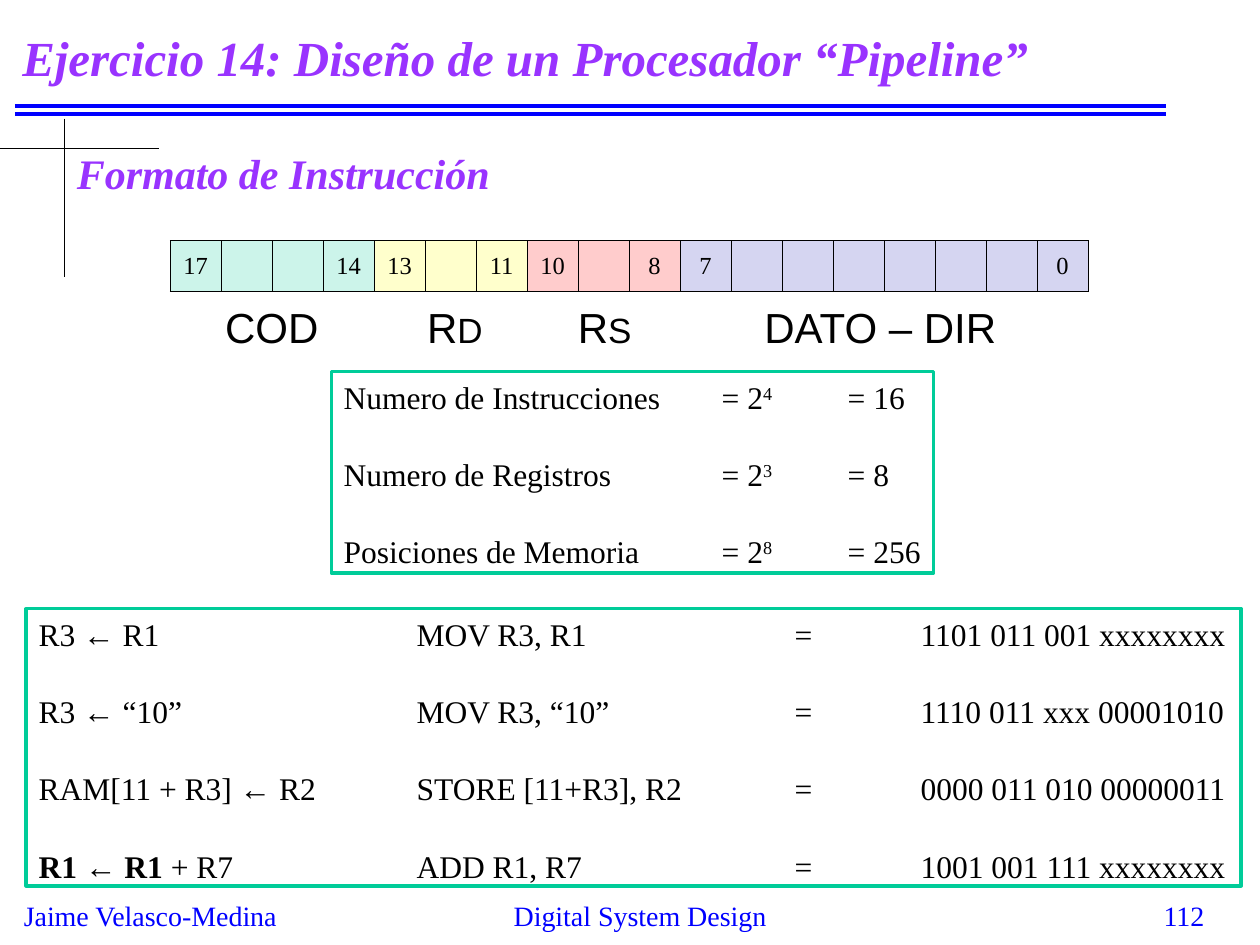
from pptx import Presentation
from pptx.dml.color import RGBColor
from pptx.enum.shapes import MSO_CONNECTOR, MSO_SHAPE
from pptx.enum.text import MSO_ANCHOR, PP_ALIGN
from pptx.oxml.ns import qn
from pptx.util import Cm, Pt
from lxml.etree import SubElement

# Content: runs are (text, style), with style "", "b" (bold) or "sup"
TITLE = "Ejercicio 14: Diseño de un Procesador “Pipeline”"
HEAD = "Formato de Instrucción"
FOOT = [  # text, left, width, alignment
    ("Jaime Velasco-Medina", 0.23, 5.69, PP_ALIGN.LEFT),
    ("Digital System Design", 8.46, 8.89, PP_ALIGN.CENTER),
    ("112", 19.25, 5.28, PP_ALIGN.RIGHT),
]
FIELDS = [  # high bit, low bit, colour
    (17, 14, "00CC99"), (13, 11, "FFFF00"), (10, 8, "FF0000"), (7, 0, "2D2DB9"),
]
LABELS = [  # big text, small text, left, width
    ("COD", "", 4.29, 2.9), ("R", "D", 8.36, 2), ("R", "S", 11.4, 2),
    ("DATO – DIR", "", 15.16, 5.6),
]
SIZES = [
    ("Numero de Instrucciones", "4", "16"),
    ("Numero de Registros", "3", "8"),
    ("Posiciones de Memoria", "8", "256"),
]
CODE = [
    ([("R3 ← R1", "")], "MOV R3, R1", "1101 011 001 xxxxxxxx"),
    ([("R3 ← “10”", "")], "MOV R3, “10”", "1110 011 xxx 00001010"),
    ([("RAM[11 + R3] ← R2", "")], "STORE [11+R3], R2", "0000 011 010 00000011"),
    ([("R1 ", "b"), ("← ", ""), ("R1", "b"), (" + R7", "")],
     "ADD R1, R7", "1001 001 111 xxxxxxxx"),
]
RULES = [  # x1, y1, x2, y2, colour, points
    (0.3, 2.13, 23.5, 2.13, "blue", 2.25), (0.3, 2.29, 23.5, 2.29, "blue", 2.25),
    (0, 3, 3.2, 3, "ink", 0.75), (1.3, 2.39, 1.3, 5.59, "ink", 0.75),
]
THEME = {
    "serif": "Times New Roman", "sans": "Arial",
    "ink": "000000", "blue": "0000FF", "violet": "9933FF",
    "frame": "00CC99", "paper": "FFFFFF",
    "title": 28, "head": 24, "label": 24, "small": 20,
    "body": 18, "foot": 16, "bit": 14, "gap": 22.5,
}


def rgb(key):
    return RGBColor.from_string(THEME.get(key, key))


def set_font(font, size, color="ink", face="serif"):
    font.name, font.size = THEME[face], Pt(THEME[size])
    font.color.rgb = rgb(color)


def set_frame(frame, right=0.0):
    frame.word_wrap = True
    frame.margin_left, frame.margin_right = Cm(0.25), Cm(right)
    frame.margin_top = frame.margin_bottom = Cm(0.13)


def add_text(text, x, y, w, h, size, color="ink", face="serif",
             align=PP_ALIGN.LEFT):
    frame = slide.shapes.add_textbox(Cm(x), Cm(y), Cm(w), Cm(h)).text_frame
    set_frame(frame, 0 if align == PP_ALIGN.LEFT else 0.25)
    par = frame.paragraphs[0]
    par.alignment = align
    par.add_run().text = text
    set_font(par.font, size, color, face)
    return frame


def add_head(text, x, y):
    frame = add_text(text, x, y, 23.29, 1.9, "title" if y < 1 else "head", "violet")
    frame.vertical_anchor = MSO_ANCHOR.MIDDLE
    font = frame.paragraphs[0].font
    font.bold = font.italic = True


def add_panel(rows, tabs, x, y, w, h):
    box = slide.shapes.add_shape(MSO_SHAPE.RECTANGLE, Cm(x), Cm(y), Cm(w), Cm(h))
    box.shadow.inherit = False
    box.fill.solid()
    box.fill.fore_color.rgb = rgb("paper")
    box.line.color.rgb, box.line.width = rgb("frame"), Pt(2)
    frame = box.text_frame
    set_frame(frame)
    frame.vertical_anchor = MSO_ANCHOR.TOP
    for i, row in enumerate(rows):
        par = frame.paragraphs[0] if i == 0 else frame.add_paragraph()
        par.alignment = PP_ALIGN.LEFT
        if i:
            par.space_before = Pt(THEME["gap"])
        stops = SubElement(par._p.get_or_add_pPr(), qn("a:tabLst"))
        for tab in tabs:
            SubElement(stops, qn("a:tab"), pos=str(Cm(tab)), algn="l")
        set_font(par.font, "body")
        for text, style in row:
            run = par.add_run()
            run.text = text
            if style == "b":
                run.font.bold = True
            elif style == "sup":
                run.font._element.set("baseline", "30000")


def add_border(cell):
    props = cell._tc.get_or_add_tcPr()
    for i, side in enumerate(("lnL", "lnR", "lnT", "lnB")):
        line = props.makeelement(qn("a:" + side), {"w": str(Pt(0.45))})
        props.insert(i, line)
        fill = SubElement(line, qn("a:solidFill"))
        SubElement(fill, qn("a:srgbClr"), val=THEME["ink"])


def add_bits(x, y, w, h):
    bits = [(n, n in (high, low), color) for high, low, color in FIELDS
            for n in range(high, low - 1, -1)]
    table = slide.shapes.add_table(1, len(bits), Cm(x), Cm(y), Cm(w), Cm(h)).table
    table.first_row = table.horz_banding = False
    for i, (bit, shown, color) in enumerate(bits):
        table.columns[i].width = Cm(w / len(bits))
        cell = table.cell(0, i)
        cell.vertical_anchor = MSO_ANCHOR.MIDDLE
        cell.fill.solid()
        cell.fill.fore_color.rgb = rgb(color)
        tint = cell._tc.tcPr.find(".//" + qn("a:srgbClr"))
        SubElement(tint, qn("a:alpha"), val="20000")
        add_border(cell)
        par = cell.text_frame.paragraphs[0]
        par.alignment = PP_ALIGN.CENTER
        if shown:
            par.add_run().text = str(bit)
        set_font(par.font, "bit")


deck = Presentation()
deck.slide_width, deck.slide_height = Cm(25.4), Cm(19.05)
slide = deck.slides.add_slide(deck.slide_layouts[6])

# Rules and footer
for x1, y1, x2, y2, color, width in RULES:
    rule = slide.shapes.add_connector(
        MSO_CONNECTOR.STRAIGHT, Cm(x1), Cm(y1), Cm(x2), Cm(y2))
    rule.line.color.rgb, rule.line.width = rgb(color), Pt(width)
    SubElement(rule._element.spPr, qn("a:effectLst"))
for text, x, w, align in FOOT:
    add_text(text, x, 17.98, w, 0.9, "foot", "blue", align=align)

# Headings
add_head(TITLE, 0.2, 0.2)
add_head(HEAD, 1.3, 2.54)

# Instruction word and its field names
add_bits(3.43, 4.85, 18.52, 1.02)
for big, small, x, w in LABELS:
    par = add_text(big, x, 5.94, w, 1.27, "label", face="sans").paragraphs[0]
    if small:
        run = par.add_run()
        run.text, run.font.size = small, Pt(THEME["small"])

# Capacity and sample instructions
add_panel([[(f"{name}\t= 2", ""), (power, "sup"), (f"\t= {total}", "")]
           for name, power, total in SIZES], (7.62, 10.16), 6.68, 7.49, 12.14, 4.06)
add_panel([move + [(f"\t{code}\t=\t{word}", "")] for move, code, word in CODE],
          (7.62, 15.24, 17.78), 0.53, 12.27, 24.49, 5.59)

deck.save("out.pptx")
